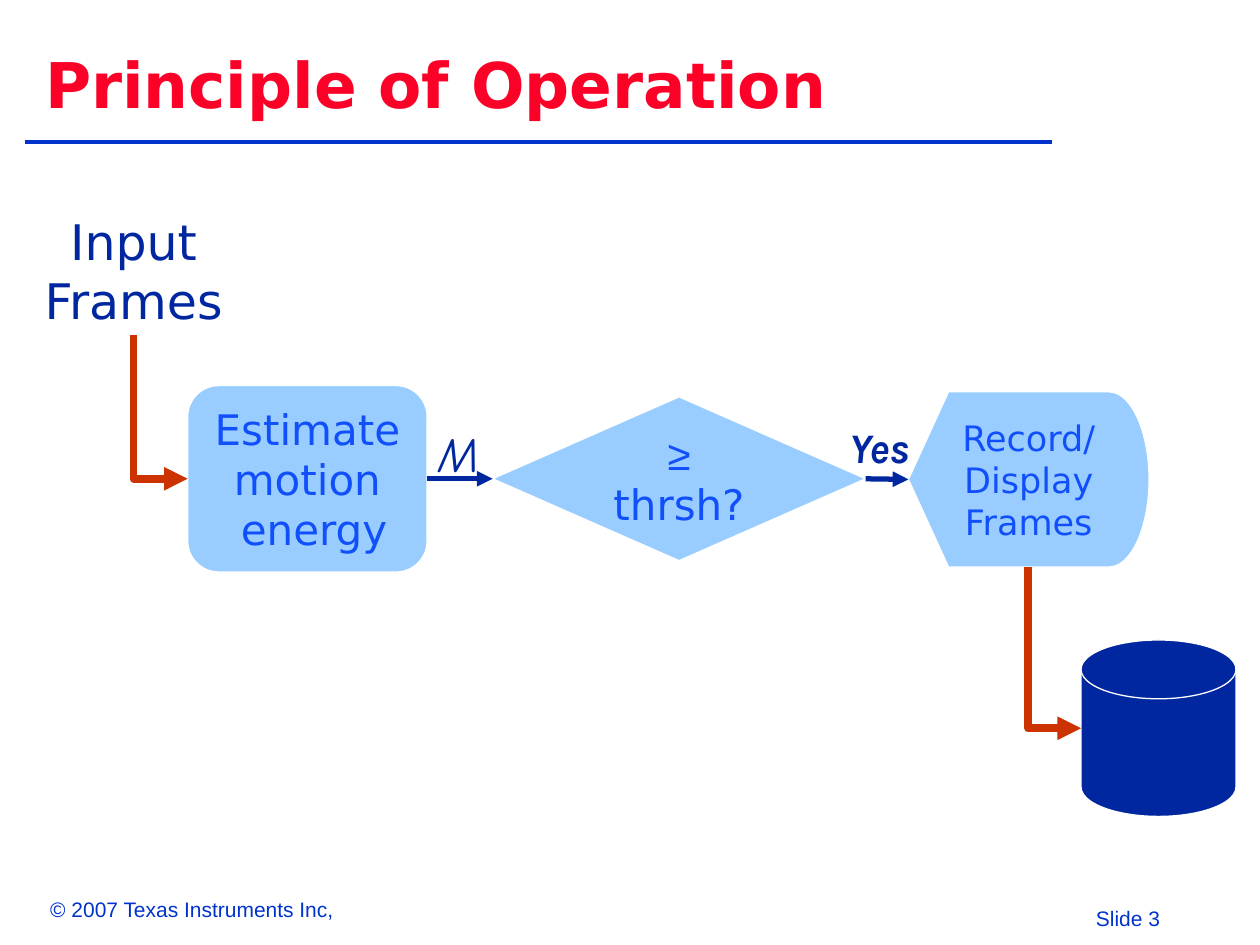
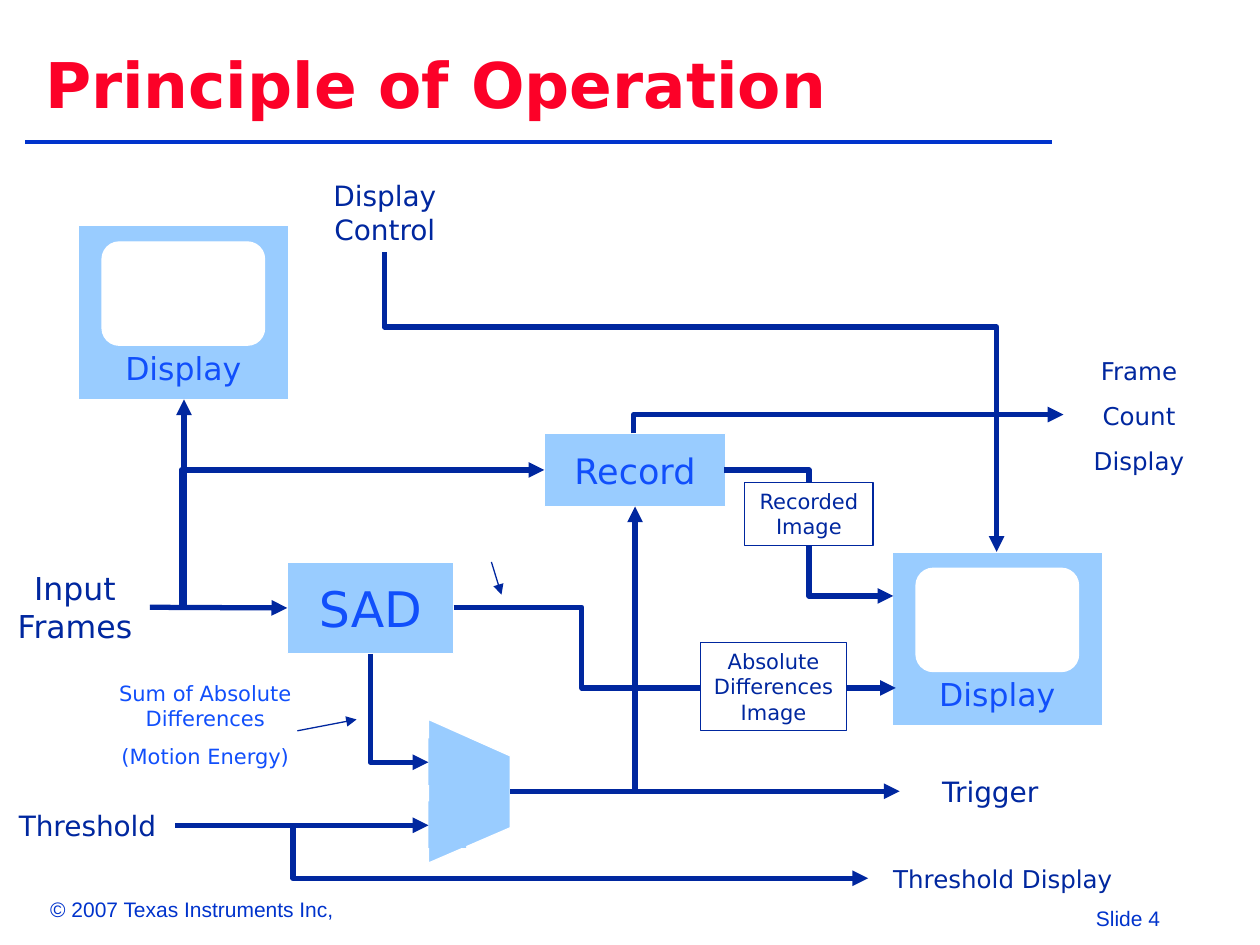
import pptx
import pptx.util
import pptx.dml.color
import pptx.enum.shapes
import pptx.enum.text
import pptx.oxml
import pptx.oxml.ns

SHAPE = pptx.enum.shapes.MSO_SHAPE
CONNECTOR = pptx.enum.shapes.MSO_CONNECTOR
ALIGN = pptx.enum.text.PP_ALIGN
ANCHOR = pptx.enum.text.MSO_ANCHOR
TOP, LEFT, BOTTOM, RIGHT = range(4)

NAVY, BLUE, SKY = "00279F", "114FFB", "99CCFF"
RULE, RED, RUST, WHITE = "0033CC", "FC0128", "CC3300", "FFFFFF"
SANS, FOOTER_FONT = "DejaVu Sans", "Arial"
COLUMNS, ROWS = 100, 75
CELL = pptx.util.Inches(0.1)


def grid(*cells):
    """Turn numbers of columns or rows into lengths."""
    return [pptx.util.Emu(round(n * CELL)) for n in cells]


def rgb(hex_color):
    """Return the colour for a hex string."""
    return pptx.dml.color.RGBColor.from_string(hex_color)


def write(tf, paragraphs, size, color, font=SANS, bold=None, italic=None,
          align=ALIGN.CENTER, gap=0):
    """Fill a text frame with paragraphs in one style."""
    tf.margin_left = tf.margin_right = pptx.util.Inches(0.1)
    tf.margin_top = tf.margin_bottom = pptx.util.Inches(0.05)
    for i, line in enumerate(paragraphs):
        p = tf.add_paragraph() if i else tf.paragraphs[0]
        p.text = line
        p.alignment = align
        if i and gap:
            p.space_before = pptx.util.Pt(gap)
        p.font.name = font
        p.font.size = pptx.util.Pt(size)
        p.font.color.rgb = rgb(color)
        p.font.bold = bold
        p.font.italic = italic


def label(s, at, paragraphs, size, color=NAVY, wrap=True, **style):
    """Add a text box."""
    tf = s.shapes.add_textbox(*grid(*at)).text_frame
    tf.word_wrap = wrap
    write(tf, paragraphs, size, color, **style)
    return tf


def paint(sp, fill, line):
    """Give a shape a plain fill and a thin outline or none."""
    sp.shadow.inherit = False
    sp.fill.solid()
    sp.fill.fore_color.rgb = rgb(fill)
    if line:
        sp.line.color.rgb = rgb(line)
        sp.line.width = pptx.util.Pt(0.75)
    else:
        sp.line.fill.background()
    return sp


def block(s, kind, at, paragraphs=(), size=12, fill=SKY, line=WHITE,
          color=BLUE, anchor=ANCHOR.MIDDLE):
    """Add a filled shape with centred text."""
    sp = paint(s.shapes.add_shape(kind, *grid(*at)), fill, line)
    tf = sp.text_frame
    tf.word_wrap = True
    tf.vertical_anchor = anchor
    write(tf, paragraphs, size, color)
    return sp


def stroke(c, color, width, head=True):
    """Style a connector and end it with an arrowhead."""
    c.line.color.rgb = rgb(color)
    c.line.width = pptx.util.Pt(width)
    props = c._element.spPr
    pptx.oxml.ns.qn("a:effectLst")
    ns = pptx.oxml.ns.nsdecls("a")
    props.append(pptx.oxml.parse_xml(f"<a:effectLst {ns}/>"))
    if head:
        tail = pptx.oxml.parse_xml(f'<a:tailEnd {ns} type="triangle"/>')
        c.line._get_or_add_ln().append(tail)


def straight(s, start, end, color=NAVY, width=3, head=True,
             begin=None, finish=None):
    """Add a straight line, joined to shapes where (shape, side) is given."""
    c = s.shapes.add_connector(CONNECTOR.STRAIGHT, *grid(*start, *end))
    if begin:
        c.begin_connect(*begin)
    if finish:
        c.end_connect(*finish)
    stroke(c, color, width, head)


def elbow(s, start, end, down=False, turn=None, color=NAVY, width=3):
    """Add a bent arrow; down starts it vertically, turn is the bend's share."""
    (x1, y1), (x2, y2) = start, end
    if down:
        cx, cy = (x1 + x2) / 2, (y1 + y2) / 2
        dx, dy = (x2 - x1) / 2, (y2 - y1) / 2
        x1, y1, x2, y2 = cx + dy, cy - dx, cx - dy, cy + dx
    c = s.shapes.add_connector(CONNECTOR.ELBOW, *grid(x1, y1, x2, y2))
    props = c._element.spPr
    if down:
        props.find(pptx.oxml.ns.qn("a:xfrm")).set("rot", str(270 * 60000))
    geometry = props.find(pptx.oxml.ns.qn("a:prstGeom"))
    if turn is None:
        geometry.set("prst", "bentConnector2")
    else:
        ns = pptx.oxml.ns.nsdecls("a")
        guide = f'<a:gd {ns} name="adj1" fmla="val {round(turn * 100000)}"/>'
        geometry.find(pptx.oxml.ns.qn("a:avLst")).append(
            pptx.oxml.parse_xml(guide))
    stroke(c, color, width)


def monitor(s, x, y):
    """Add a display with a rounded white screen."""
    sp = block(s, SHAPE.RECTANGLE, (x, y, 16.7, 13.8), ["Display"], 18,
               anchor=ANCHOR.BOTTOM)
    sp.text_frame.margin_bottom = pptx.util.Inches(0.1)
    block(s, SHAPE.FLOWCHART_ALTERNATE_PROCESS, (x + 1.9, y + 1.3, 12.9, 8.2),
          fill=WHITE)


def patch(s, x, y):
    """Add a small unlined square where an arrow enters a block."""
    block(s, SHAPE.RECTANGLE, (x, y, 3, 3.7), line=None)


def comparator(s):
    """Add the trapezoid that compares the energy with the threshold."""
    corners = [grid(*xy) for xy in
               ((34, 68.5), (34, 57.1), (40.5, 60), (40.5, 65.7))]
    builder = s.shapes.build_freeform(*corners[0])
    builder.add_line_segments(corners[1:], close=True)
    paint(builder.convert_to_shape(), SKY, WHITE)


def base_slide(prs, number):
    """Add a slide with the title, rule and footers."""
    s = prs.slides.add_slide(prs.slide_layouts[6])
    straight(s, (2, 11.3), (83.5, 11.3), RULE, 2.25, head=False)
    footer = dict(color=RULE, wrap=False, font=FOOTER_FONT, align=ALIGN.LEFT)
    label(s, (86, 71.4, 13.7, 3), [f"Slide {number}"], 12, **footer)
    label(s, (3, 70.7, 25.2, 3), ["© 2007 Texas Instruments Inc,"], 12,
          **footer)
    tf = label(s, (2.6, 3.1, 84, 7.2), ["Principle of Operation"], 36, RED,
               bold=True, align=ALIGN.LEFT)
    return s


def flow_slide(prs):
    """Build the flow from input frames to storage."""
    s = base_slide(prs, 3)
    decision = block(s, SHAPE.FLOWCHART_DECISION, (39.1, 31.5, 29.6, 13),
                     ["≥"], 24)
    p = decision.text_frame.paragraphs[0]
    p.runs[0].font.name = FOOTER_FONT
    r = p.add_run()
    r.text = " thrsh?"
    r.font.name = SANS
    estimate = block(s, SHAPE.FLOWCHART_ALTERNATE_PROCESS,
                     (14.9, 30.6, 19, 14.8),
                     ["Estimate\vmotion", " energy"], 24)
    record = block(s, SHAPE.FLOWCHART_DISPLAY, (72.1, 31.1, 19.1, 13.9),
                   ["Record/Display Frames"], 20)
    block(s, SHAPE.FLOWCHART_MAGNETIC_DISK, (85.8, 50.8, 12.3, 14), fill=NAVY)
    straight(s, (33.9, 38), (39.1, 38), begin=(estimate, RIGHT),
             finish=(decision, LEFT))
    straight(s, (68.6, 38), (72.1, 38), begin=(decision, RIGHT),
             finish=(record, LEFT))
    for start, end in (((10.6, 26.6), (14.9, 38)), ((81.6, 45), (85.8, 57.8))):
        elbow(s, start, end, down=True, color=RUST, width=4.5)
    label(s, (0.8, 16.3, 19.6, 10.4), ["Input Frames"], 28)
    label(s, (31.5, 33.1, 9.9, 5.7), ["M"], 28, font="Comic Neue", italic=True)
    label(s, (65.7, 33, 8.2, 5), ["Yes"], 24, font="Karla", bold=True,
          italic=True)


def signal_slide(prs):
    """Build the signal diagram of the motion detector."""
    s = base_slide(prs, 4)
    for x, y in ((6.2, 17.9), (70.8, 43.8)):
        monitor(s, x, y)
    sad = block(s, SHAPE.RECTANGLE, (22.8, 44.6, 13.2, 7.3), ["SAD"], 28)
    block(s, SHAPE.RECTANGLE, (43.2, 34.4, 14.4, 5.8), ["Record"], 20)
    comparator(s)
    for x, y in ((34, 58.6), (34, 63.6)):
        patch(s, x, y)

    straight(s, (11.9, 48.2), (22.8, 48.3), finish=(sad, LEFT))
    straight(s, (13.9, 65.5), (34, 65.5))
    straight(s, (40.5, 62.8), (71.4, 62.8))
    straight(s, (39, 44.6), (39.8, 47.2), width=0.75)
    straight(s, (23.6, 58), (28.3, 57.1), width=0.75)

    elbow(s, (11.9, 48.2), (14.6, 31.7))
    elbow(s, (11.9, 48.2), (43.2, 37.3), turn=0.08)
    elbow(s, (30.5, 20), (79.1, 43.8), down=True, turn=0.25)
    elbow(s, (29.4, 51.9), (34, 60.5), down=True)
    elbow(s, (36, 48.2), (71.1, 54.6), turn=0.29)
    elbow(s, (57.5, 37.3), (70.9, 47.3), turn=0.5)
    elbow(s, (40.5, 62.8), (50.4, 40.2))
    elbow(s, (50.3, 34.4), (84.4, 32.9), down=True)
    elbow(s, (13.9, 65.5), (68.9, 69.7), turn=0.17)

    for at, text in (((55.6, 51, 11.6, 7), "Absolute Differences Image"),
                     ((59.1, 38.3, 10.2, 5), "Recorded Image")):
        block(s, SHAPE.RECTANGLE, at, [text], 12, WHITE, NAVY, NAVY,
              ANCHOR.TOP)
    for at, text, size in (((0, 44.7, 11.9, 7), "Input Frames", 18),
                           ((0, 63.7, 13.9, 3.7), "Threshold", 16),
                           ((24.4, 13.7, 12.3, 6.4), "Display Control", 16),
                           ((71.4, 61, 14.4, 3.7), "Trigger", 16),
                           ((68.9, 68.1, 21.4, 3.4), "Threshold Display", 14)):
        label(s, at, [text], size)
    label(s, (84.4, 27.8, 12, 10.5), ["Frame", "Count", "Display"], 14,
          gap=8.8)
    label(s, (7, 53.5, 18.6, 8.1),
          ["Sum of Absolute Differences", "(Motion Energy)"], 12, BLUE,
          gap=7.5)


def main():
    """Build and save the presentation."""
    prs = pptx.Presentation()
    prs.slide_width, prs.slide_height = grid(COLUMNS, ROWS)
    flow_slide(prs)
    signal_slide(prs)
    prs.save("out.pptx")


if __name__ == "__main__":
    main()
